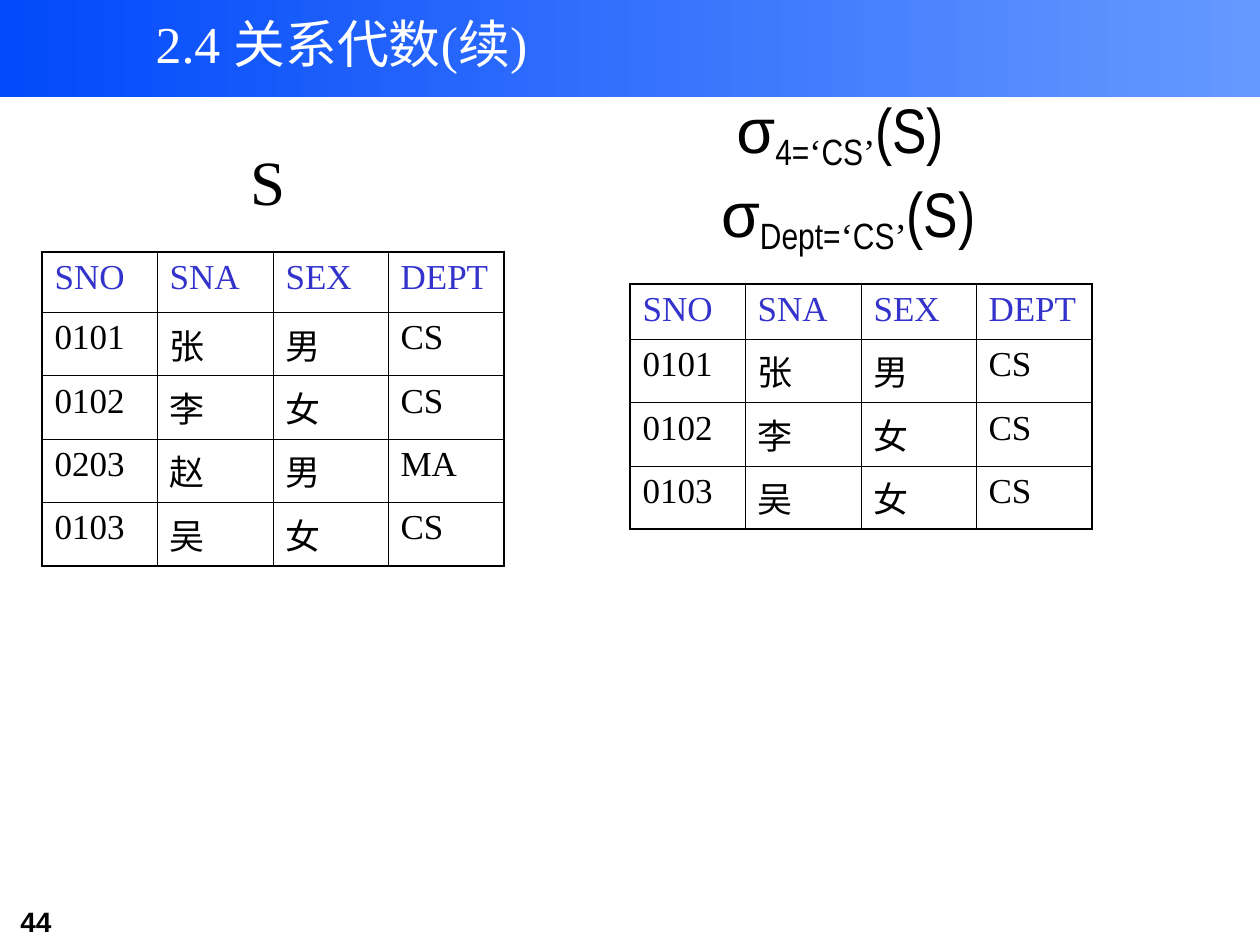
"""Build the relational algebra slide showing a selection on table S."""
from lxml import etree
from pptx import Presentation
from pptx.dml.color import RGBColor
from pptx.enum.shapes import MSO_SHAPE
from pptx.enum.text import MSO_ANCHOR, MSO_AUTO_SIZE, PP_ALIGN
from pptx.oxml.ns import qn
from pptx.util import Pt

RECTANGLE = MSO_SHAPE.RECTANGLE
MIDDLE = MSO_ANCHOR.MIDDLE
NO_AUTOFIT = MSO_AUTO_SIZE.NONE
GROW = MSO_AUTO_SIZE.SHAPE_TO_FIT_TEXT
LEFT, CENTER = PP_ALIGN.LEFT, PP_ALIGN.CENTER
PX = 914400 / 126
SERIF, SANS, NARROW = "Times New Roman", "Arial", "Arial Narrow"
BLACK, WHITE, HEADER_BLUE = "000000", "FFFFFF", "3333CC"
THIN, THICK = Pt(0.45), Pt(1.08)


def px(*values):
    return [round(value * PX) for value in values]


def style(font, size, name, color, bold=False):
    font.size = Pt(size)
    font.name = name
    font.bold = bold
    font.color.rgb = RGBColor.from_string(color)


presentation = Presentation()
presentation.slide_width, presentation.slide_height = px(1260, 945)
slide = presentation.slides.add_slide(presentation.slide_layouts[5])
shapes = slide.shapes

band = shapes.add_shape(RECTANGLE, *px(0, 0, 1260, 97))
band.shadow.inherit = False
band.line.fill.background()
band.fill.gradient()
band.fill.gradient_angle = 0
for stop, color in zip(band.fill.gradient_stops, ("0249FA", "6699FF")):
    stop.color.rgb = RGBColor.from_string(color)
shapes._spTree.insert(2, band._element)

title = shapes.title
title.left, title.top, title.width, title.height = px(116, 1, 451, 84)
title.text_frame.text = "2.4 关系代数(续)"
title.text_frame.auto_size = NO_AUTOFIT
title.text_frame.word_wrap = False
title.text_frame.vertical_anchor = MIDDLE
paragraph = title.text_frame.paragraphs[0]
paragraph.alignment = CENTER
style(paragraph.runs[0].font, 29.6, SERIF, WHITE)

tables = [
    ((42, 252), (60, 55, 60, 55, 55), [
        "SNO SNA SEX DEPT", "0101 张 男 CS", "0102 李 女 CS",
        "0203 赵 男 MA", "0103 吴 女 CS"]),
    ((630, 284), (55, 55, 60, 55), [
        "SNO SNA SEX DEPT", "0101 张 男 CS", "0102 李 女 CS",
        "0103 吴 女 CS"]),
]
for (left, top), heights, records in tables:
    frame = shapes.add_table(len(records), 4, *px(left, top, 462, sum(heights)))
    table = frame.table
    table.first_row = table.horz_banding = False
    for column, width in zip(table.columns, px(115, 116, 115, 116)):
        column.width = width
    for row, height in zip(table.rows, px(*heights)):
        row.height = height
    for row_index, record in enumerate(records):
        for column_index, value in enumerate(record.split()):
            cell = table.cell(row_index, column_index)
            cell.text_frame.text = value
            cell.fill.background()
            color = HEADER_BLUE if row_index == 0 else BLACK
            style(cell.text_frame.paragraphs[0].runs[0].font, 20, SERIF, color)
            outer_edges = {
                "a:lnL": column_index == 0,
                "a:lnR": column_index == 3,
                "a:lnT": row_index == 0,
                "a:lnB": row_index == len(records) - 1,
            }
            properties = cell._tc.get_or_add_tcPr()
            for position, (tag, is_outer) in enumerate(outer_edges.items()):
                border = etree.Element(qn(tag), w=str(THICK if is_outer else THIN))
                fill = etree.SubElement(border, qn("a:solidFill"))
                etree.SubElement(fill, qn("a:srgbClr"), val=BLACK)
                properties.insert(position, border)

text_boxes = [
    ((8, 898, 154, 47), LEFT, 16, True, [("44", SANS, False)]),
    ((210, 136, 116, 88), CENTER, 36, False, [("S", SERIF, False)]),
]
for box, attribute in (((693, 168, 325, 96), "Dept="), ((685, 84, 325, 96), "4=")):
    text_boxes.append((box, CENTER, 36, False, [
        ("σ", SANS, False), (attribute, NARROW, True), ("‘", SERIF, True),
        ("CS", NARROW, True), ("’", SERIF, True), ("(S) ", NARROW, False)]))

for box, alignment, size, bold, runs in text_boxes:
    text_frame = shapes.add_textbox(*px(*box)).text_frame
    text_frame.word_wrap = True
    text_frame.auto_size = GROW
    paragraph = text_frame.paragraphs[0]
    paragraph.alignment = alignment
    for text, name, is_subscript in runs:
        run = paragraph.add_run()
        run.text = text
        style(run.font, size, name, BLACK, bold)
        if is_subscript:
            run._r.get_or_add_rPr().set("baseline", "-20000")

presentation.save("out.pptx")
